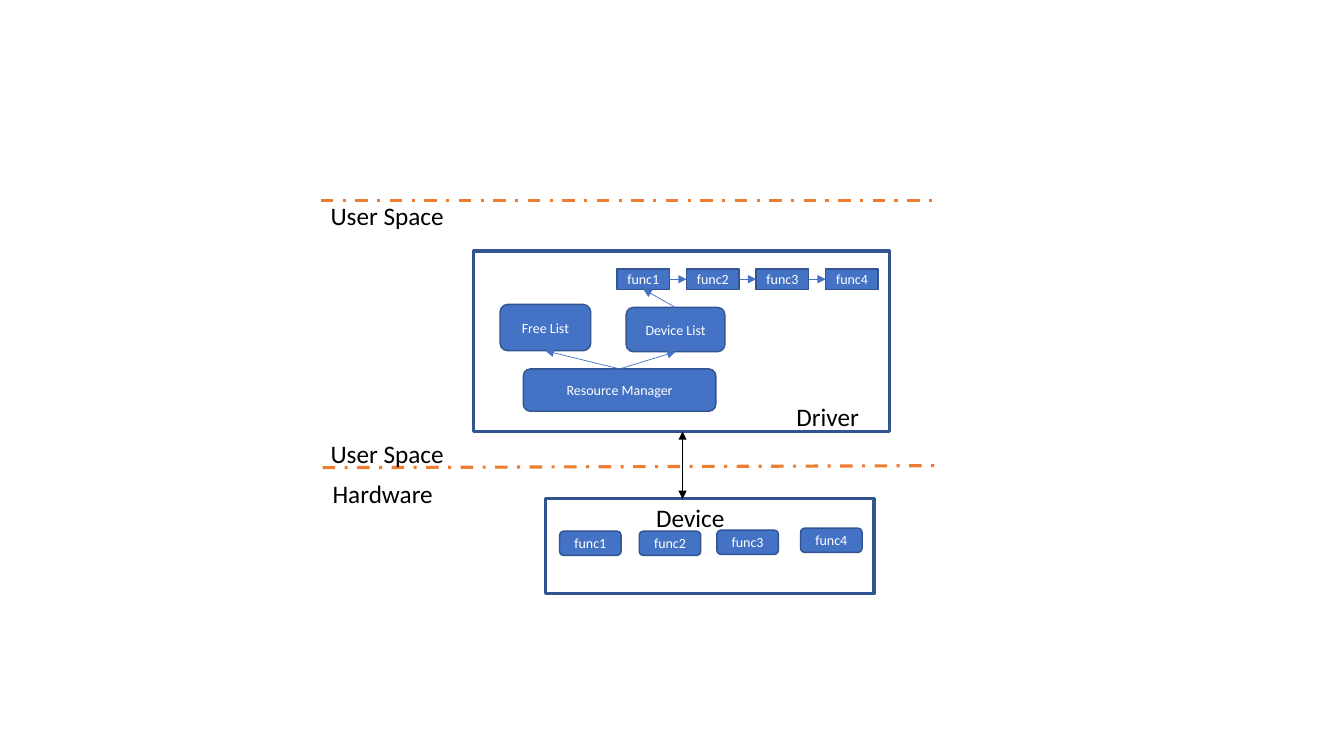
from lxml.etree import SubElement
from pptx import Presentation
from pptx.dml.color import RGBColor
from pptx.enum.dml import MSO_LINE
from pptx.enum.shapes import MSO_CONNECTOR, MSO_SHAPE
from pptx.enum.text import MSO_ANCHOR, PP_ALIGN
from pptx.oxml.ns import qn
from pptx.util import Inches, Pt

COLORS = {"block": "4472C4", "edge": "325491", "boundary": "ED7D31",
          "paper": "FFFFFF", "ink": "000000"}
FONT = "Calibri"
TOP, LEFT, BOTTOM, RIGHT = range(4)  # connection sites of a rectangle

# Content: lengths in inches
FUNCTIONS = ["func1", "func2", "func3", "func4"]
BOUNDARIES = [(3.18, 1.99, 9.29, 1.99), (3.2, 4.64, 9.29, 4.62)]
FRAMES = [(5.41, 4.95, 3.26, 0.94), (4.7, 2.49, 4.12, 1.79)]
LABELS = [("User Space", 3.18, 1.94, 1.68), ("User Space", 3.18, 4.3, 1.68),
          ("Hardware", 3.2, 4.7, 1.28), ("Device", 6.41, 4.93, 1.15),
          ("Driver", 7.8, 3.93, 1.15)]
MANAGEMENT = [("Resource Manager", 5.19, 3.66, 1.91, 0.42),
              ("Free List", 4.96, 3.02, 0.9, 0.46),
              ("Device List", 6.21, 3.05, 0.98, 0.44)]
DEVICE_SLOTS = [(5.55, 5.27), (6.34, 5.27), (7.11, 5.26), (7.94, 5.24)]
CHAIN_LEFT, CHAIN_TOP, CHAIN_STEP = 6.12, 2.67, 0.69

prs = Presentation()
prs.slide_width, prs.slide_height = Inches(13.33), Inches(7.5)
slide = prs.slides.add_slide(prs.slide_layouts[6])


def color(name):
    return RGBColor.from_string(COLORS[name])


def style_text(frame, text, size, ink):
    frame.text = text
    font = frame.paragraphs[0].runs[0].font
    font.name, font.size, font.color.rgb = FONT, Pt(size), color(ink)


def add_box(preset, box, fill, weight, text=None):
    shape = slide.shapes.add_shape(preset, *map(Inches, box))
    shape.shadow.inherit = False
    shape.fill.solid()
    shape.fill.fore_color.rgb = color(fill)
    shape.line.color.rgb = color("edge")
    shape.line.width = Pt(weight)
    if text:
        frame = shape.text_frame
        frame.margin_left = frame.margin_right = 0
        frame.margin_top = frame.margin_bottom = 0
        frame.vertical_anchor = MSO_ANCHOR.MIDDLE
        style_text(frame, text, 10, "paper")
        frame.paragraphs[0].alignment = PP_ALIGN.CENTER
    return shape


def add_line(ends, ink, weight, arrows=()):
    link = slide.shapes.add_connector(MSO_CONNECTOR.STRAIGHT, *map(Inches, ends))
    link.line.color.rgb = color(ink)
    link.line.width = Pt(weight)
    properties = link.line._get_or_add_ln()
    for end in arrows:
        SubElement(properties, qn("a:" + end), type="triangle")
    SubElement(link._element.spPr, qn("a:effectLst"))
    return link


def join(source, source_site, target, target_site):
    link = add_line((0, 0, 0, 0), "block", 0.5, ["tailEnd"])
    link.begin_connect(source, source_site)
    link.end_connect(target, target_site)


# Space boundaries
for ends in BOUNDARIES:
    add_line(ends, "boundary", 2.25).line.dash_style = MSO_LINE.DASH_DOT

# Driver and device frames
for box in FRAMES:
    add_box(MSO_SHAPE.RECTANGLE, box, "paper", 2.25)

# Labels
for text, left, top, width in LABELS:
    label = slide.shapes.add_textbox(*map(Inches, (left, top, width, 0.4)))
    label.text_frame.word_wrap = True
    style_text(label.text_frame, text, 18, "ink")

# Functions on the device
for name, slot in zip(FUNCTIONS, DEVICE_SLOTS):
    add_box(MSO_SHAPE.ROUNDED_RECTANGLE, (*slot, 0.61, 0.24), "block", 1, name)

# Resource management and function chain in the driver
manager, free_list, device_list = [
    add_box(MSO_SHAPE.ROUNDED_RECTANGLE, box, "block", 1, name)
    for name, *box in MANAGEMENT]
chain = [add_box(MSO_SHAPE.RECTANGLE,
                 (CHAIN_LEFT + i * CHAIN_STEP, CHAIN_TOP, 0.52, 0.2),
                 "block", 1, name)
         for i, name in enumerate(FUNCTIONS)]

# Arrows
for resource_list in (free_list, device_list):
    join(manager, TOP, resource_list, BOTTOM)
join(device_list, TOP, chain[0], BOTTOM)
for current, following in zip(chain, chain[1:]):
    join(current, RIGHT, following, LEFT)
add_line((6.77, 4.28, 6.77, 4.95), "ink", 0.5, ["headEnd", "tailEnd"])

prs.save("out.pptx")
